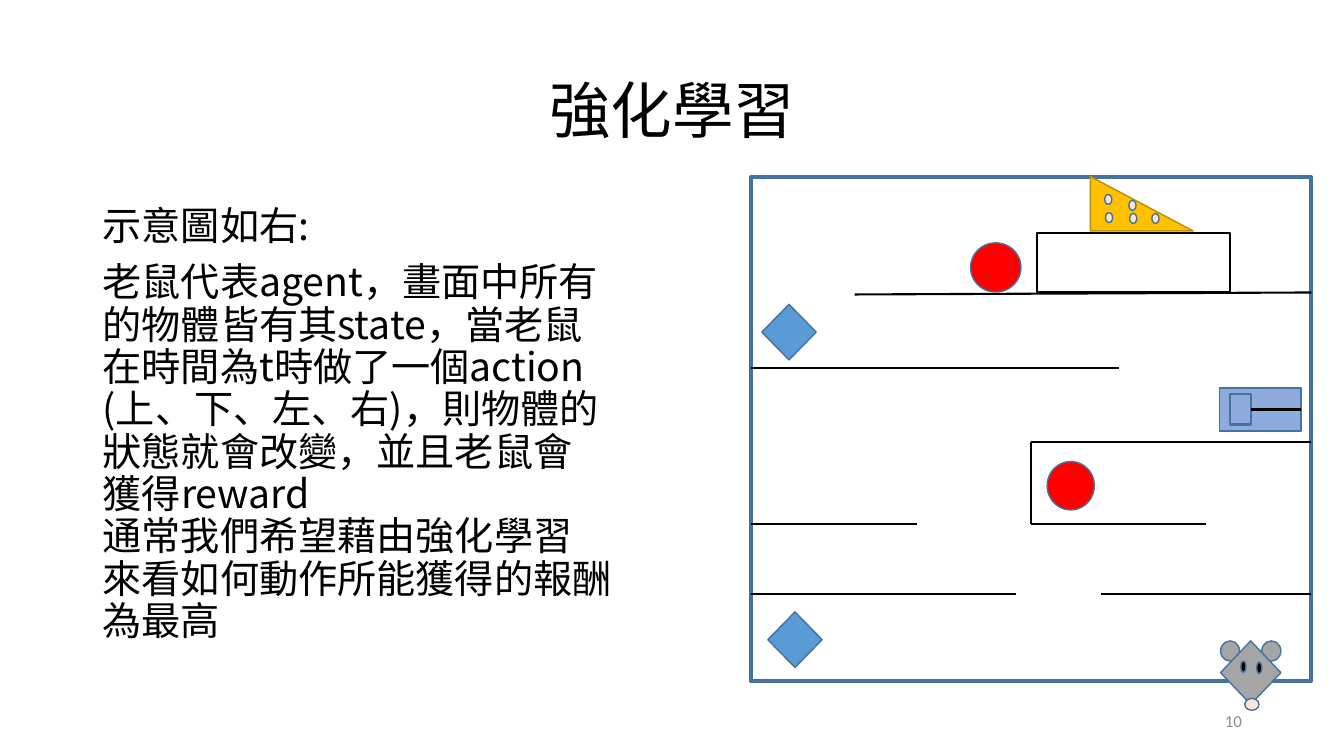
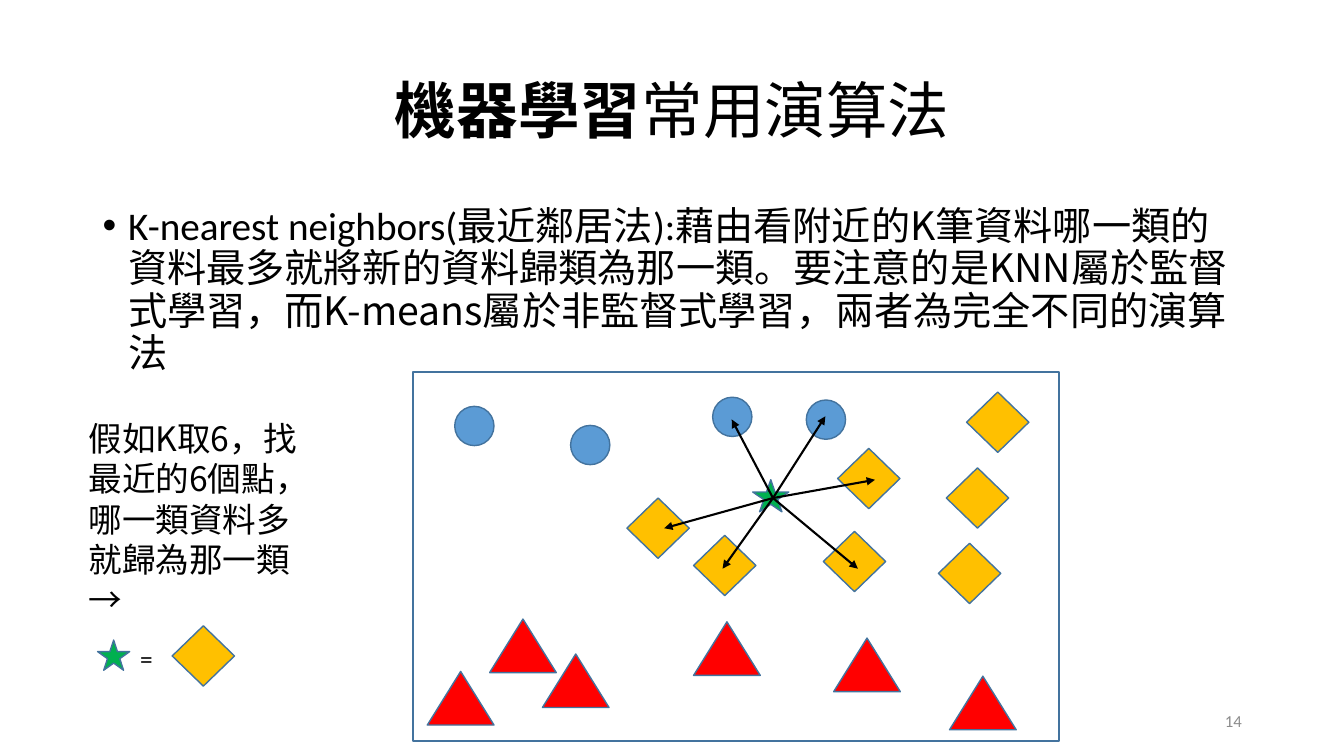
from dataclasses import dataclass

import pptx
import pptx.dml.color
import pptx.enum.shapes
import pptx.enum.text
import pptx.oxml
import pptx.oxml.ns
import pptx.util
from lxml import etree

Cm = pptx.util.Cm
Pt = pptx.util.Pt
Shape = pptx.enum.shapes.MSO_SHAPE
Align = pptx.enum.text.PP_ALIGN
Anchor = pptx.enum.text.MSO_ANCHOR
qn = pptx.oxml.ns.qn


@dataclass(frozen=True)
class Theme:
    cjk: str = "Noto Sans CJK SC"
    latin: str = "Calibri"
    title_size: int = 44
    body_size: int = 28
    note_size: int = 24
    label_size: int = 18
    number_size: int = 12
    spacing: float = 0.9
    thin: float = 1
    medium: float = 1.5
    thick: float = 3
    black: str = "000000"
    white: str = "FFFFFF"
    number: str = "8C8C8C"
    outline: str = "43739E"
    blue: str = "5B9BD5"
    pale_blue: str = "8FAADC"
    amber: str = "FFC000"
    dark_amber: str = "BD8E00"
    red: str = "FF0000"
    green: str = "00B050"
    gray: str = "A5A5A5"
    pink: str = "FBE5D6"


THEME = Theme()


def rgb(value):
    return pptx.dml.color.RGBColor.from_string(value)


# Text
def add_run(paragraph, text, size, font=THEME.cjk, color=THEME.black, bold=False):
    run = paragraph.add_run()
    run.text = text
    run.font.size = Pt(size)
    run.font.bold = bold
    run.font.color.rgb = rgb(color)
    run.font.name = font
    east_asian = etree.SubElement(run.font._element, qn("a:ea"))
    east_asian.set("typeface", THEME.cjk)


def add_lines(paragraph, lines, size):
    for index, line in enumerate(lines):
        if index:
            paragraph.add_line_break()
        add_run(paragraph, line, size)


def add_text_box(slide, left, top, width, height, anchor=Anchor.TOP):
    box = slide.shapes.add_textbox(Cm(left), Cm(top), Cm(width), Cm(height))
    box.text_frame.word_wrap = True
    box.text_frame.vertical_anchor = anchor
    return box.text_frame


def add_body(slide):
    return add_text_box(slide, 2.34, 5.08, 29.21, 12.09)


def set_bullet(paragraph, indent):
    properties = paragraph._p.get_or_add_pPr()
    properties.set("marL", str(Cm(indent)))
    properties.set("indent", str(-Cm(indent)))
    font = etree.SubElement(properties, qn("a:buFont"))
    font.set("typeface", "Arial")
    bullet = etree.SubElement(properties, qn("a:buChar"))
    bullet.set("char", "•")


# Shapes and lines
def add_shape(slide, kind, left, top, width, height, fill=None,
              line=THEME.outline, weight=THEME.thin):
    shape = slide.shapes.add_shape(kind, Cm(left), Cm(top), Cm(width), Cm(height))
    shape.shadow.inherit = False
    if fill:
        shape.fill.solid()
        shape.fill.fore_color.rgb = rgb(fill)
    else:
        shape.fill.background()
    shape.line.color.rgb = rgb(line)
    shape.line.width = Pt(weight)
    return shape


def add_shapes(slide, kind, places, width, height, fill):
    for left, top in places:
        add_shape(slide, kind, left, top, width, height, fill)


def add_line(slide, start_x, start_y, end_x, end_y, arrow=False):
    connector = slide.shapes.add_connector(
        pptx.enum.shapes.MSO_CONNECTOR.STRAIGHT,
        Cm(start_x), Cm(start_y), Cm(end_x), Cm(end_y))
    connector.line.color.rgb = rgb(THEME.black)
    connector.line.width = Pt(THEME.medium)
    if arrow:
        head = etree.SubElement(connector.line._get_or_add_ln(), qn("a:tailEnd"))
        head.set("type", "triangle")
    etree.SubElement(connector._element.spPr, qn("a:effectLst"))
    return connector


# Title and page number shared by both slides
def add_slide(presentation, title_parts, number):
    slide = presentation.slides.add_slide(presentation.slide_layouts[5])
    title = slide.shapes.title
    title.left, title.top = Cm(2.34), Cm(1.02)
    title.width, title.height = Cm(29.21), Cm(3.68)
    frame = title.text_frame
    frame.auto_size = pptx.enum.text.MSO_AUTO_SIZE.NONE
    frame.vertical_anchor = Anchor.MIDDLE
    paragraph = frame.paragraphs[0]
    paragraph.alignment = Align.CENTER
    paragraph.line_spacing = THEME.spacing
    for text, bold in title_parts:
        add_run(paragraph, text, THEME.title_size, bold=bold)

    frame = add_text_box(slide, 23.93, 17.65, 7.62, 1.02, Anchor.MIDDLE)
    paragraph = frame.paragraphs[0]
    paragraph.alignment = Align.RIGHT
    add_run(paragraph, str(number), THEME.number_size, THEME.latin, THEME.number)
    return slide


# Reinforcement learning maze
def add_mouse(slide):
    add_shapes(slide, Shape.OVAL, [(30.76, 16.15), (31.8, 16.15)],
               0.48, 0.51, THEME.gray)
    add_shape(slide, Shape.DIAMOND, 30.76, 16.15, 1.52, 1.6, THEME.gray)
    add_shapes(slide, Shape.OVAL, [(31.27, 16.66), (31.67, 16.69)],
               0.13, 0.28, THEME.black)
    add_shape(slide, Shape.OVAL, 31.37, 17.6, 0.36, 0.3, THEME.pink)


def add_cheese(slide):
    add_shape(slide, Shape.RIGHT_TRIANGLE, 27.48, 4.45, 2.59, 1.37,
              THEME.amber, THEME.dark_amber)
    holes = [(27.84, 4.9), (28.47, 5.38), (29.03, 5.38), (28.45, 5.05), (27.86, 5.36)]
    add_shapes(slide, Shape.OVAL, holes, 0.18, 0.25, THEME.pink)


def add_trap(slide):
    panel = add_shape(slide, Shape.RECTANGLE, 30.73, 9.78, 2.06, 1.08, THEME.pale_blue)
    handle = add_shape(slide, Shape.RECTANGLE, 30.99, 9.94, 0.53, 0.76,
                       weight=THEME.medium)
    lever = add_line(slide, 31.52, 10.32, 32.79, 10.32)
    lever.begin_connect(handle, 3)
    lever.end_connect(panel, 3)


def build_reinforcement(presentation):
    slide = add_slide(presentation, [("強化學習", False)], 10)
    frame = add_body(slide)
    paragraph = frame.paragraphs[0]
    paragraph.line_spacing = THEME.spacing
    add_run(paragraph, "示意圖如右:", THEME.body_size)
    paragraph = frame.add_paragraph()
    paragraph.line_spacing = THEME.spacing
    paragraph.space_before = Pt(10)
    add_lines(paragraph, [
        "老鼠代表agent，畫面中所有",
        "的物體皆有其state，當老鼠",
        "在時間為t時做了一個action",
        "(上、下、左、右)，則物體的",
        "狀態就會改變，並且老鼠會",
        "獲得reward",
        "通常我們希望藉由強化學習",
        "來看如何動作所能獲得的報酬",
        "為最高",
    ], THEME.body_size)

    # Maze frame and walls
    add_shape(slide, Shape.RECTANGLE, 18.92, 4.47, 14.12, 12.7, weight=THEME.thick)
    walls = [
        (21.54, 7.42, 33.05, 7.37),
        (18.92, 9.27, 28.19, 9.27),
        (25.98, 11.13, 33.05, 11.13),
        (25.98, 11.13, 25.98, 13.21),
        (25.98, 13.21, 30.4, 13.21),
        (18.92, 13.21, 23.11, 13.21),
        (18.92, 14.96, 25.6, 14.96),
        (27.74, 14.96, 33.05, 14.96),
    ]
    for wall in walls:
        add_line(slide, *wall)

    # Objects in the maze
    add_mouse(slide)
    add_cheese(slide)
    add_shape(slide, Shape.RECTANGLE, 26.14, 5.87, 4.85, 1.5,
              THEME.white, THEME.black, THEME.medium)
    add_trap(slide)
    add_shapes(slide, Shape.DIAMOND, [(19.2, 7.67), (19.35, 15.42)],
               1.37, 1.4, THEME.blue)
    add_shape(slide, Shape.OVAL, 24.46, 6.12, 1.27, 1.24, THEME.red)
    add_shape(slide, Shape.OVAL, 26.39, 11.63, 1.19, 1.22, THEME.red)


# Nearest neighbours
def build_neighbors(presentation):
    slide = add_slide(presentation, [("機器學習", True), ("常用演算法", False)], 14)
    paragraph = add_body(slide).paragraphs[0]
    paragraph.line_spacing = THEME.spacing
    set_bullet(paragraph, 0.64)
    parts = [
        ("K-nearest neighbors(", THEME.latin),
        ("最近鄰居法", THEME.cjk),
        ("):", THEME.latin),
        ("藉由看附近的K筆資料哪一類的資料最多就將新的資料歸類為那一類。"
         "要注意的是KNN屬於監督式學習，而K-means屬於非監督式學習，"
         "兩者為完全不同的演算法", THEME.cjk),
    ]
    for text, font in parts:
        add_run(paragraph, text, THEME.body_size, font)

    # Data points by class
    add_shape(slide, Shape.RECTANGLE, 10.41, 9.37, 16.28, 9.3)
    circles = [(11.46, 10.24), (14.38, 10.72), (17.96, 10.01), (20.32, 10.08)]
    add_shapes(slide, Shape.OVAL, circles, 0.99, 0.99, THEME.blue)
    legend_diamond = (4.34, 15.77)
    diamonds = [(15.8, 12.55), (17.48, 13.49), (20.75, 13.39), (21.11, 11.3),
                (24.36, 9.88), (23.85, 11.79), (23.65, 13.69), legend_diamond]
    add_shapes(slide, Shape.DIAMOND, diamonds, 1.57, 1.52, THEME.amber)
    triangles = [(12.34, 15.6), (10.77, 16.92), (13.67, 16.48),
                 (17.48, 15.67), (21.01, 16.08), (23.93, 17.04)]
    add_shapes(slide, Shape.ISOSCELES_TRIANGLE, triangles, 1.68, 1.35, THEME.red)

    # New point and its six neighbours
    add_shape(slide, Shape.STAR_5_POINT, 18.97, 12.09, 0.91, 0.81, THEME.green)
    neighbors = [(21.62, 14.33), (22.05, 12.09), (16.74, 13.31),
                 (18.21, 14.33), (18.44, 10.57), (20.8, 10.49)]
    for neighbor in neighbors:
        add_line(slide, 19.48, 12.55, *neighbor, arrow=True)

    # Explanation and result
    frame = add_text_box(slide, 1.98, 10.41, 6.2, 5.38)
    add_run(frame.paragraphs[0], "假如K取6，找最近的6個點，哪一類資料多就歸為那一類",
            THEME.note_size)
    add_run(frame.add_paragraph(), "→", THEME.note_size)
    add_shape(slide, Shape.STAR_5_POINT, 2.46, 16.13, 0.81, 0.76, THEME.green)
    frame = add_text_box(slide, 3.28, 16.08, 1.78, 1.02)
    add_run(frame.paragraphs[0], "=", THEME.label_size, THEME.latin)


def main():
    presentation = pptx.Presentation()
    presentation.slide_width = Cm(33.87)
    presentation.slide_height = Cm(19.05)
    build_reinforcement(presentation)
    build_neighbors(presentation)
    presentation.save("out.pptx")


if __name__ == "__main__":
    main()
